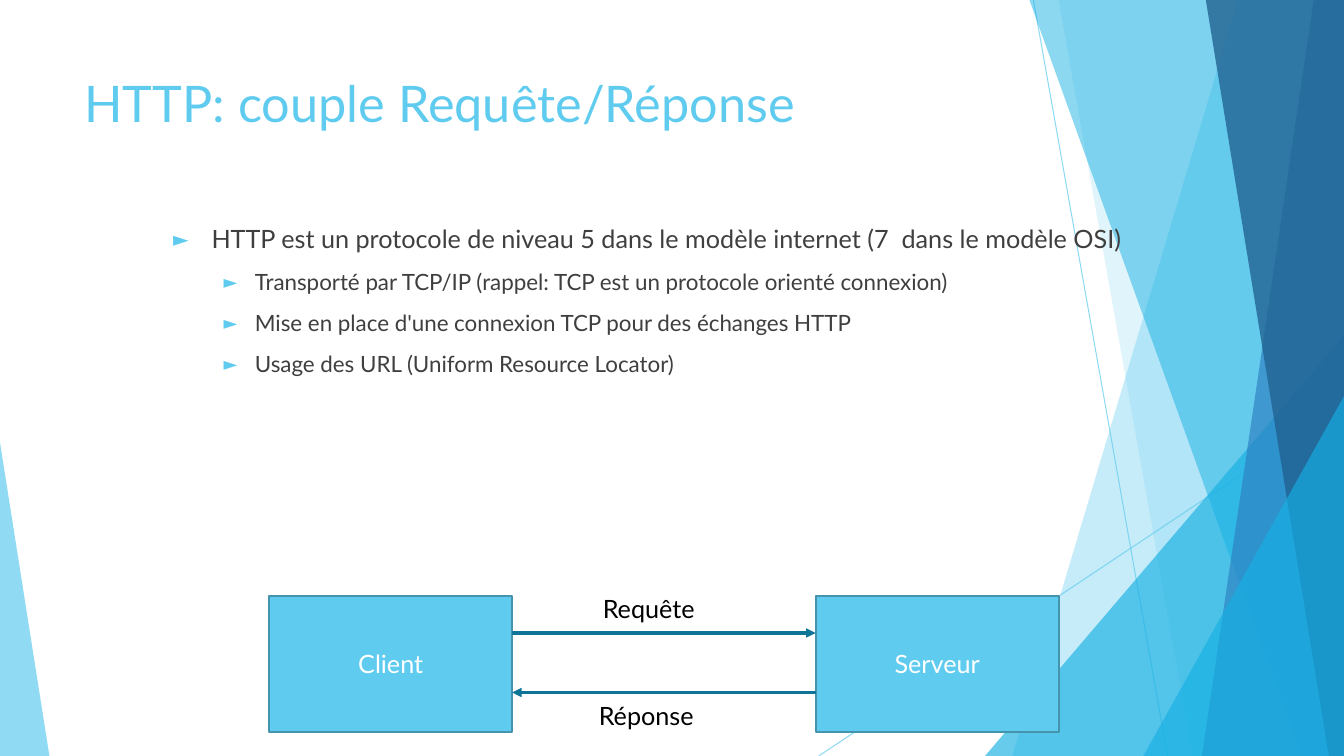
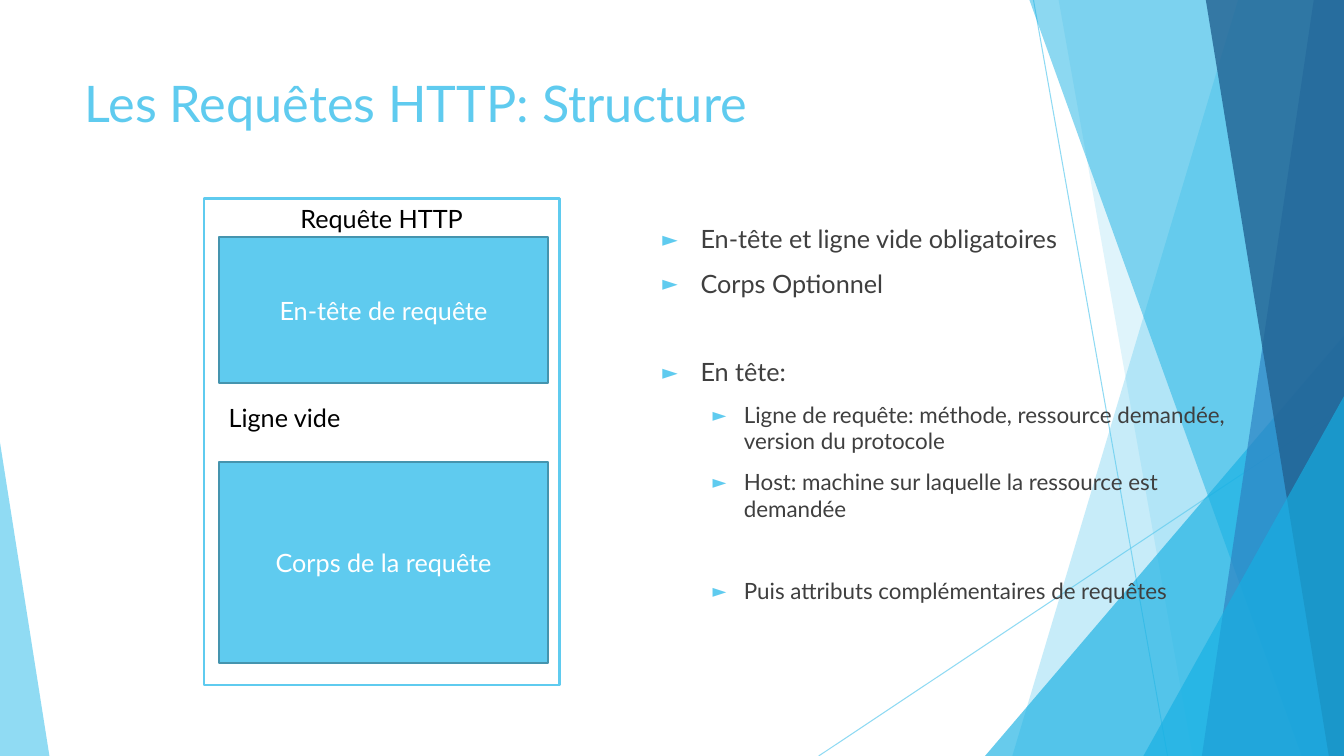
from dataclasses import dataclass

from lxml import etree
from pptx import Presentation, util as u
from pptx.dml.color import RGBColor
from pptx.enum import shapes, text
from pptx.oxml.ns import qn

WIDTH, HEIGHT = 13.33, 7.5


@dataclass(frozen=True)
class Theme:
    font: str = "Lato"
    sky: str = "5FCBEF"
    cyan: str = "16B0E3"
    blue: str = "2E83C3"
    navy: str = "226292"
    block_edge: str = "4594AE"
    arrow: str = "0F7597"
    body: str = "3F3F3F"
    black: str = "000000"
    white: str = "FFFFFF"
    title_size: int = 36
    base_size: int = 18
    detail_size: int = 16


THEME = Theme()

# Per list level: left margin and hanging indent (inches), type size (points)
LEVELS = ((0.38, 0.38, THEME.base_size), (0.81, 0.31, THEME.detail_size))
ITEM_GAP = 10
FRAME = {
    "margin_left": u.Inches(0.1), "margin_right": u.Inches(0.1),
    "margin_top": u.Inches(0.05), "margin_bottom": u.Inches(0.05),
    "word_wrap": True,
}

# Background facets, back to front: outline, geometry, colour, opacity in percent.
# A sheet runs from a slanted left edge (top x, bottom x) to the right of the slide.
FACETS = (
    ("line", (10.25, 0, 11.58, HEIGHT), THEME.sky, 69),
    ("line", (WIDTH, 4.03, 8.12, HEIGHT), THEME.sky, 69),
    ("sheet", (12.28, 10.04), THEME.sky, 35),
    ("sheet", (10.5, 11.83), THEME.sky, 20),
    ("right", (3.56, 4.17), THEME.cyan, 65),
    ("sheet", (10.21, 12.91), THEME.cyan, 49),
    ("sheet", (13.03, 11.92), THEME.blue, 69),
    ("sheet", (11.96, 13.18), THEME.navy, 80),
    ("right", (1.99, 3.57), THEME.cyan, 65),
    ("left", (0.49, 3.11), THEME.sky, 69),
)


def apply(target, formats):
    for name, value in formats.items():
        setattr(target, name, value)


def inches(*lengths):
    return [u.Inches(length) for length in lengths]


def rgb(colour):
    return RGBColor.from_string(colour)


def add_child(parent, tag, **attributes):
    return etree.SubElement(parent, qn(tag), attributes)


# Text
def add_run(paragraph, wording, size, colour):
    run = paragraph.add_run()
    run.text = wording
    apply(run.font, {"name": THEME.font, "size": u.Pt(size)})
    run.font.color.rgb = rgb(colour)


def add_label(slide, area, wording, size=THEME.base_size, colour=THEME.black):
    frame = slide.shapes.add_textbox(*inches(*area)).text_frame
    apply(frame, FRAME)
    add_run(frame.paragraphs[0], wording, size, colour)


def add_bullets(slide, area, items):
    """Each item is (level, wording) or (level, wording, space before in points)."""
    frame = slide.shapes.add_textbox(*inches(*area)).text_frame
    apply(frame, FRAME)
    for index, (level, wording, *gap) in enumerate(items):
        paragraph = frame.add_paragraph() if index else frame.paragraphs[0]
        left, hanging, size = LEVELS[level]
        properties = paragraph._p.get_or_add_pPr()
        properties.set("marL", str(u.Inches(left)))
        properties.set("indent", str(-u.Inches(hanging)))
        bullet_colour = add_child(properties, "a:buClr")
        add_child(bullet_colour, "a:srgbClr", val=THEME.sky)
        add_child(properties, "a:buSzPct", val="80000")
        add_child(properties, "a:buFont", typeface=THEME.font)
        add_child(properties, "a:buChar", char="►")
        if index:
            paragraph.space_before = u.Pt(gap[0] if gap else ITEM_GAP)
        add_run(paragraph, wording, size, THEME.body)


# Shapes and lines
def add_block(slide, area, wording, fill=THEME.sky, edge=THEME.block_edge,
              colour=THEME.white, anchor=text.MSO_ANCHOR.MIDDLE):
    block = slide.shapes.add_shape(shapes.MSO_SHAPE.RECTANGLE, *inches(*area))
    block.shadow.inherit = False
    block.fill.solid()
    block.fill.fore_color.rgb = rgb(fill)
    block.line.color.rgb = rgb(edge)
    block.line.width = u.Pt(1.5)
    apply(block.text_frame, FRAME | {"vertical_anchor": anchor})
    paragraph = block.text_frame.paragraphs[0]
    paragraph.alignment = text.PP_ALIGN.CENTER
    add_run(paragraph, wording, THEME.base_size, colour)


def add_line(slide, ends, colour, width, arrow=False):
    line = slide.shapes.add_connector(shapes.MSO_CONNECTOR.STRAIGHT, *inches(*ends))
    line.line.color.rgb = rgb(colour)
    line.line.width = u.Pt(width)
    if arrow:
        add_child(line.line._get_or_add_ln(), "a:tailEnd", type="triangle")
    add_child(line._element.spPr, "a:effectLst")
    return line


def add_sheet(slide, top_x, bottom_x):
    corners = [(WIDTH, 0), (WIDTH, HEIGHT), (bottom_x, HEIGHT)]
    outline = slide.shapes.build_freeform(*inches(top_x, 0))
    outline.add_line_segments([inches(*corner) for corner in corners], close=True)
    return outline.convert_to_shape()


def add_corner(slide, side, width, height):
    left = WIDTH - width if side == "right" else 0
    corner = slide.shapes.add_shape(
        shapes.MSO_SHAPE.ISOSCELES_TRIANGLE,
        *inches(left, HEIGHT - height, width, height))
    corner.adjustments[0] = 1 if side == "right" else 0
    return corner


def add_facets(slide):
    for outline, geometry, colour, opacity in FACETS:
        if outline == "line":
            facet = add_line(slide, geometry, colour, 0.75)
        else:
            facet = (add_sheet(slide, *geometry) if outline == "sheet"
                     else add_corner(slide, outline, *geometry))
            facet.shadow.inherit = False
            facet.fill.solid()
            facet.fill.fore_color.rgb = rgb(colour)
            facet.line.fill.background()
        for paint in facet._element.spPr.iter(qn("a:srgbClr")):
            add_child(paint, "a:alpha", val=str(opacity * 1000))


def add_slide(deck, title):
    slide = deck.slides.add_slide(deck.slide_layouts[6])
    add_facets(slide)
    add_label(slide, (0.74, 0.67, 9.4, 1.44), title, THEME.title_size, THEME.sky)
    return slide


# Slides
def build_exchange(deck):
    slide = add_slide(deck, "HTTP: couple Requête/Réponse")
    add_bullets(slide, (1.62, 2.17, 10.96, 3.31), (
        (0, "HTTP est un protocole de niveau 5 dans le modèle internet (7  dans le modèle OSI)"),
        (1, "Transporté par TCP/IP (rappel: TCP est un protocole orienté connexion)"),
        (1, "Mise en place d'une connexion TCP pour des échanges HTTP"),
        (1, "Usage des URL (Uniform Resource Locator)"),
    ))
    client, server, host_width = 2.67, 8.09, 2.41
    for left, host in ((client, "Client"), (server, "Serveur")):
        add_block(slide, (left, 5.91, host_width, 1.35), host)
    client_edge = client + host_width
    for start, end, y in ((client_edge, server, 6.28), (server, client_edge, 6.87)):
        add_line(slide, (start, y, end, y), THEME.arrow, 2.25, arrow=True)
    add_label(slide, (5.88, 5.84, 1.31, 0.4), "Requête")
    add_label(slide, (5.84, 6.9, 1.35, 0.4), "Réponse")


def build_structure(deck):
    slide = add_slide(deck, "Les Requêtes HTTP: Structure")
    add_bullets(slide, (6.47, 2.17, 6.11, 4.93), (
        (0, "En-tête et ligne vide obligatoires"),
        (0, "Corps Optionnel"),
        (0, "En tête:", 41.6),
        (1, "Ligne de requête: méthode, ressource demandée, version du protocole"),
        (1, "Host: machine sur laquelle la ressource est demandée"),
        (1, "Puis attributs complémentaires de requêtes", 39.2),
    ))
    add_block(slide, (2.02, 1.97, 3.53, 4.83), "Requête HTTP", THEME.white,
              THEME.sky, THEME.black, text.MSO_ANCHOR.TOP)
    part_left, part_width = 2.17, 3.27
    for top, height, part in ((2.35, 1.45, "En-tête de requête"),
                              (4.58, 2, "Corps de la requête")):
        add_block(slide, (part_left, top, part_width, height), part)
    add_label(slide, (part_left, 3.94, part_width, 0.4), "Ligne vide")


def main():
    deck = Presentation()
    apply(deck, {"slide_width": u.Inches(WIDTH), "slide_height": u.Inches(HEIGHT)})
    build_exchange(deck)
    build_structure(deck)
    deck.save("out.pptx")


if __name__ == "__main__":
    main()
